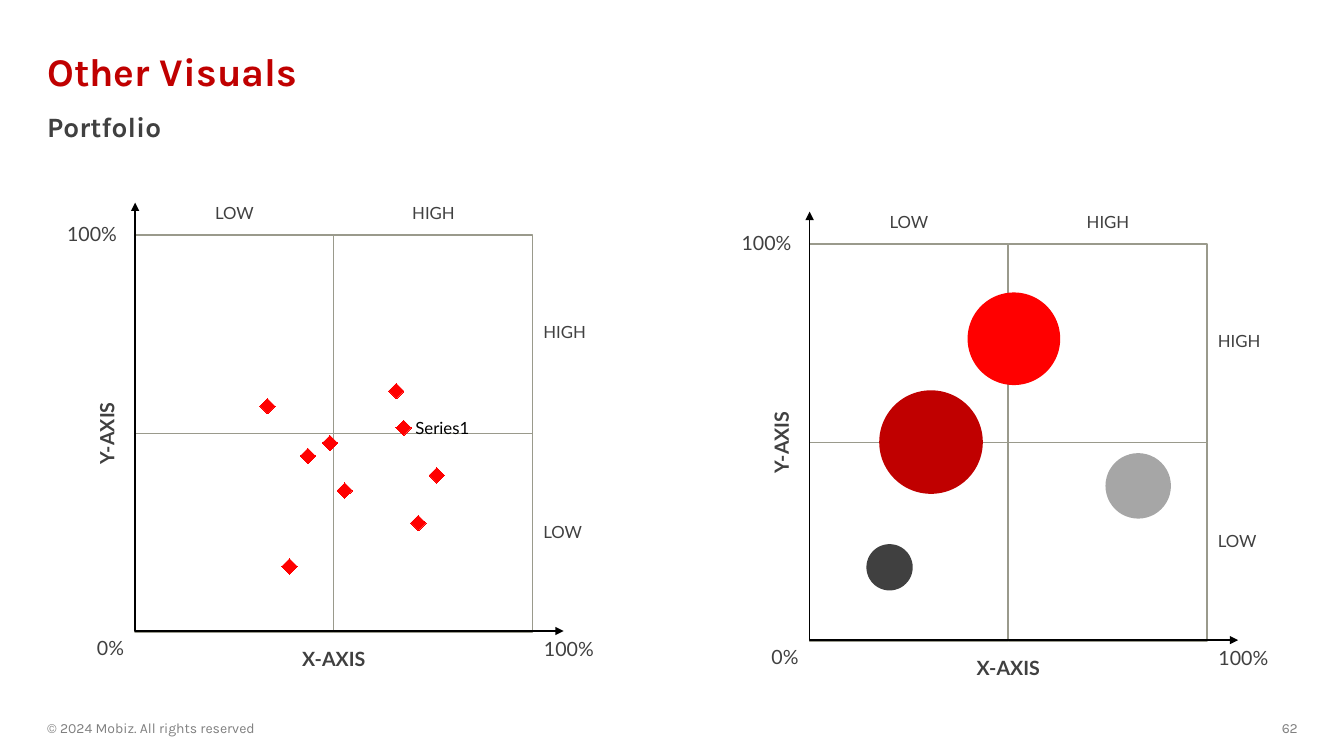
from dataclasses import dataclass

from pptx import Presentation
from pptx.chart.data import BubbleChartData, XyChartData
from pptx.dml.color import RGBColor
from pptx.enum.chart import (XL_CHART_TYPE, XL_LABEL_POSITION, XL_MARKER_STYLE,
                             XL_TICK_LABEL_POSITION, XL_TICK_MARK)
from pptx.enum.shapes import MSO_SHAPE
from pptx.enum.text import MSO_ANCHOR, MSO_AUTO_SIZE, PP_ALIGN
from pptx.oxml import parse_xml
from pptx.oxml.ns import nsdecls, qn
from pptx.util import Pt

SCATTER, BUBBLE = XL_CHART_TYPE.XY_SCATTER, XL_CHART_TYPE.BUBBLE
DIAMOND, BESIDE = XL_MARKER_STYLE.DIAMOND, XL_LABEL_POSITION.RIGHT
NO_LABEL, NO_TICK = XL_TICK_LABEL_POSITION.NONE, XL_TICK_MARK.NONE
RECT = MSO_SHAPE.RECTANGLE
TOP, MID, LOW = MSO_ANCHOR.TOP, MSO_ANCHOR.MIDDLE, MSO_ANCHOR.BOTTOM
LEFT, MIDDLE, RIGHT = PP_ALIGN.LEFT, PP_ALIGN.CENTER, PP_ALIGN.RIGHT
GROW, FIXED = MSO_AUTO_SIZE.SHAPE_TO_FIT_TEXT, MSO_AUTO_SIZE.NONE
SCALE = 9144


@dataclass(frozen=True)
class Theme:
    """Hold the colours, fonts and type sizes of the slide."""
    deep: str = "C00000"
    red: str = "FF0000"
    dark: str = "404040"
    mid: str = "808080"
    pale: str = "A6A6A6"
    grid: str = "9A9A8C"
    black: str = "000000"
    head: str = "Karla"
    body: str = "Lato"
    title: int = 28
    sub: int = 20
    chart: int = 18
    axis: int = 14
    label: int = 12
    foot: int = 10


THEME = Theme()
DOTS = [(0.7, 83), (0.79, 61), (0.74, 39), (0.54, 54), (0.5, 76),
        (0.44, 70), (0.68, 100), (0.33, 93), (0.39, 19)]
DISCS = [(20, 27, 1, THEME.dark), (30, 67, 5, THEME.deep),
         (80, 53, 2, THEME.pale), (50, 100, 4, THEME.red)]


def px(*sizes):
    """Turn px lengths into EMU."""
    return [size * SCALE for size in sizes]


def color(code):
    """Turn a hex code into a colour."""
    return RGBColor.from_string(code)


def style(font, size, code, face, bold=False):
    """Set the look of a font."""
    font.size, font.name, font.bold = Pt(size), face, bold
    font.color.rgb = color(code)


def write(shape, text, size, code, face, bold=False, align=LEFT,
          anchor=MID, space=1.0):
    """Put one styled line of text into a shape."""
    frame = shape.text_frame
    frame.word_wrap, frame.vertical_anchor = True, anchor
    frame.text = text
    para = frame.paragraphs[0]
    para.alignment, para.line_spacing = align, space
    style(para.runs[0].font, size, code, face, bold)
    return frame


def header(slide, box):
    """Place the title and the subtitle in the box."""
    x, y, w, h = box
    title = slide.shapes.title
    title.left, title.top, title.width, title.height = px(x, y, w, 67)
    frame = write(title, "Other Visuals", THEME.title, THEME.deep,
                  THEME.head, True, space=0.9)
    frame.auto_size = FIXED
    sub = slide.shapes.add_textbox(*px(x, y + 68, w, h - 68))
    write(sub, "Portfolio", THEME.sub, THEME.dark, THEME.head, True,
          anchor=TOP, space=0.9)


def footer(slide, box):
    """Place the copyright line and the page number in the box."""
    x, y, w, h = box
    for text, left, wide, align in (
            ("© 2024 Mobiz. All rights reserved", x, 450, LEFT),
            ("62", x + w - 122, 122, RIGHT)):
        note = slide.shapes.add_textbox(*px(left, y, wide, h))
        write(note, text, THEME.foot, THEME.mid, THEME.head, align=align)


def matrix(slide, box):
    """Draw four quadrants, the arrowed axes and their labels in the box."""
    x, y, side, _ = box
    cell = 197
    group = slide.shapes.add_group_shape()
    for row in range(2):
        for col in range(2):
            quad = group.shapes.add_shape(
                RECT, *px(x + col * cell, y + 32 + row * cell, cell, cell))
            quad.shadow.inherit = False
            quad.fill.background()
            quad.line.color.rgb, quad.line.width = color(THEME.grid), Pt(1)

    pen = slide.shapes.build_freeform(x, y, scale=SCALE)
    pen.add_line_segments([(x, y + side), (x + side, y + side)], close=False)
    axes = pen.convert_to_shape()
    axes.shadow.inherit = False
    axes.fill.background()
    axes.line.color.rgb, axes.line.width = color(THEME.black), Pt(1)
    for end in ("headEnd", "tailEnd"):
        axes.element.spPr.find(qn("a:ln")).append(
            parse_xml(f'<a:{end} {nsdecls("a")} type="triangle"/>'))

    small, large = THEME.label, THEME.axis
    labels = [
        ("HIGH", (405, 121, 80, 18), small, LEFT, MID, 0.85),
        ("LOW", (405, 319, 80, 18), small, LEFT, MID, 0.85),
        ("LOW", (69, 3, 59, 22), small, MIDDLE, MID, 0.85),
        ("HIGH", (261, 3, 70, 22), small, MIDDLE, MID, 0.85),
        ("0%", (-43, 430, 32, 24), large, RIGHT, TOP, 1.0),
        ("100%", (405, 431, 50, 24), large, RIGHT, TOP, 1.0),
        ("100%", (-97, 19, 79, 24), large, RIGHT, MID, 1.0),
        ("Y-AXIS", (-222, 219, 391, 20), large, MIDDLE, LOW, 0.85),
        ("X-AXIS", (-2, 444, 398, 20), large, MIDDLE, TOP, 0.85),
    ]
    for text, (dx, dy, w, h), size, align, anchor, space in labels:
        label = slide.shapes.add_textbox(*px(x + dx, y + dy, w, h))
        frame = write(label, text, size, THEME.dark, THEME.body,
                      text.endswith("AXIS"), align, anchor, space)
        frame.margin_left = frame.margin_right = frame.margin_top = 0
        frame.margin_bottom = px(4 if h == 22 else 0)[0]
        frame.auto_size = FIXED if text == "X-AXIS" else GROW
        if text == "Y-AXIS":
            label.rotation = 270


def plot(slide, kind, box, data, size, area, spans):
    """Add a bare chart whose inner plot fills the given area."""
    chart = slide.shapes.add_chart(kind, *px(*box), data).chart
    chart.has_legend = chart.has_title = False
    style(chart.font, size, THEME.black, THEME.body)
    for axis, (top, step) in zip((chart.category_axis, chart.value_axis), spans):
        axis.minimum_scale, axis.maximum_scale, axis.major_unit = 0, top, step
        axis.has_major_gridlines = axis.has_minor_gridlines = False
        axis.visible = False

    root = chart.element
    ground = root.find(".//" + qn("c:plotArea"))
    for old in ground.findall(qn("c:layout")):
        ground.remove(old)
    parts = "".join(f'<c:{tag} val="{val}"/>' for tag, val in zip("xywh", area))
    ground.insert(0, parse_xml(
        f'<c:layout {nsdecls("c")}><c:manualLayout>'
        '<c:layoutTarget val="inner"/><c:xMode val="edge"/>'
        f'<c:yMode val="edge"/>{parts}</c:manualLayout></c:layout>'))
    clear = f'<c:spPr {nsdecls("c", "a")}><a:noFill/><a:ln><a:noFill/></a:ln></c:spPr>'
    ground.append(parse_xml(clear))
    root.find(qn("c:txPr")).addprevious(parse_xml(clear))
    return chart


def bubbles(slide, box):
    """Draw the matrix with bubbles in the box."""
    matrix(slide, box)
    x, y = box[:2]
    data = BubbleChartData()
    series = data.add_series("Series 1")
    for across, up, size, _ in DISCS:
        series.add_data_point(across, up, size)
    chart = plot(slide, BUBBLE, (x - 58, y - 5, 725, 486), data, THEME.chart,
                 (0.076, 0.059, 0.567, 0.85), ((100, 20), (133, 13)))
    discs = chart.plots[0].series[0]
    for i, disc in enumerate(DISCS):
        look = discs.points[i].format
        look.fill.solid()
        look.fill.fore_color.rgb = color(disc[3])
        look.line.fill.background()


def scatter(slide, box):
    """Draw the matrix with diamond markers in the box."""
    matrix(slide, box)
    x, y = box[:2]
    data = XyChartData()
    series = data.add_series("Series 1")
    for across, up in DOTS:
        series.add_data_point(across, up)
    chart = plot(slide, SCATTER, (x - 103, y - 10, 534, 468), data, THEME.label,
                 (0.213, 0.031, 0.684, 0.849), ((1, 1), (185, 1852)))
    chart.plots[0].vary_by_categories = False
    axis = chart.category_axis
    axis.visible, axis.tick_label_position = True, NO_LABEL
    axis.major_tick_mark = axis.minor_tick_mark = NO_TICK
    axis.format.line.fill.background()
    dots = chart.plots[0].series[0]
    dots.format.line.fill.background()
    dots.marker.style, dots.marker.size = DIAMOND, 11
    look = dots.marker.format
    look.fill.solid()
    look.fill.fore_color.rgb = color(THEME.red)
    look.line.fill.background()
    label = dots.points[0].data_label
    label.text_frame.text = "Series1"
    style(label.text_frame.paragraphs[0].runs[0].font, THEME.label,
          THEME.black, THEME.body)
    label.position = BESIDE


def main():
    """Build and save the slide."""
    deck = Presentation()
    deck.slide_width, deck.slide_height = px(1333, 750)
    slide = deck.slides.add_slide(deck.slide_layouts[5])
    header(slide, (37, 40, 1260, 115))
    footer(slide, (37, 710, 1260, 25))
    bubbles(slide, (803, 210, 425, 425))
    scatter(slide, (134, 201, 425, 425))
    deck.save("out.pptx")


if __name__ == "__main__":
    main()
